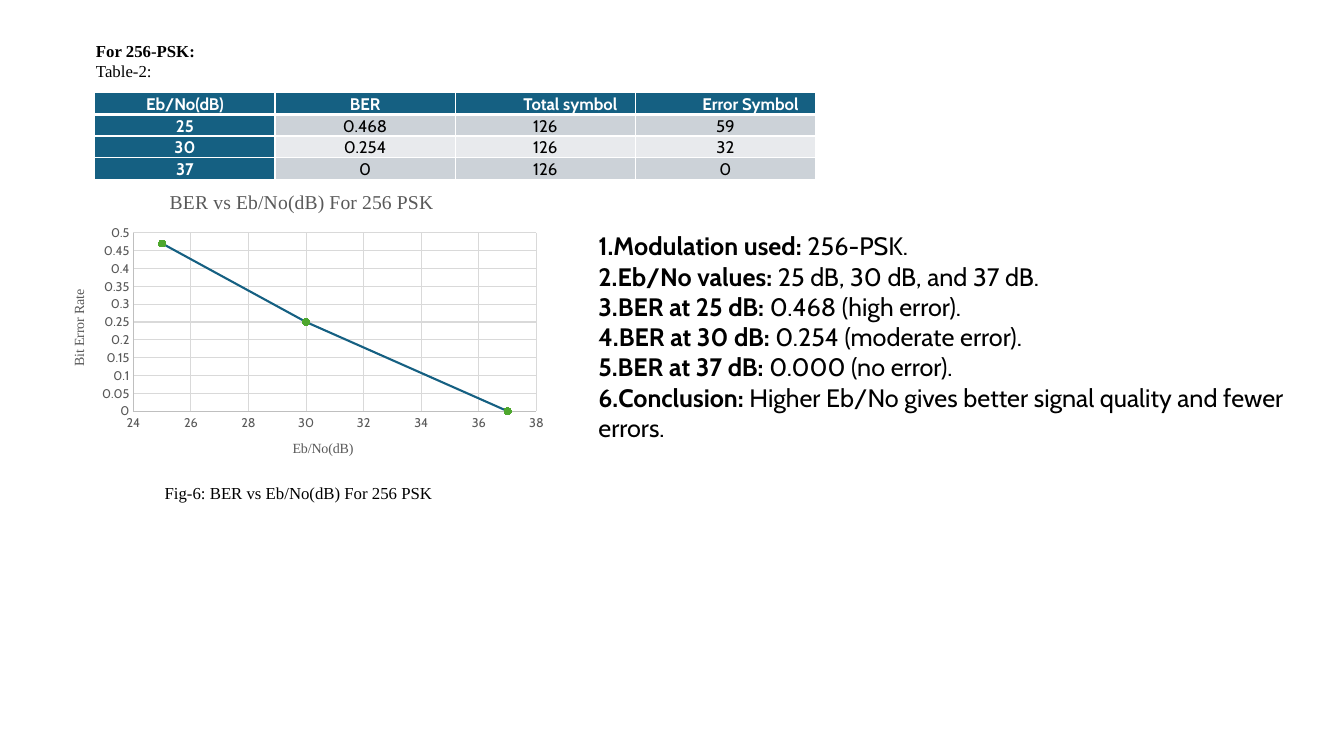
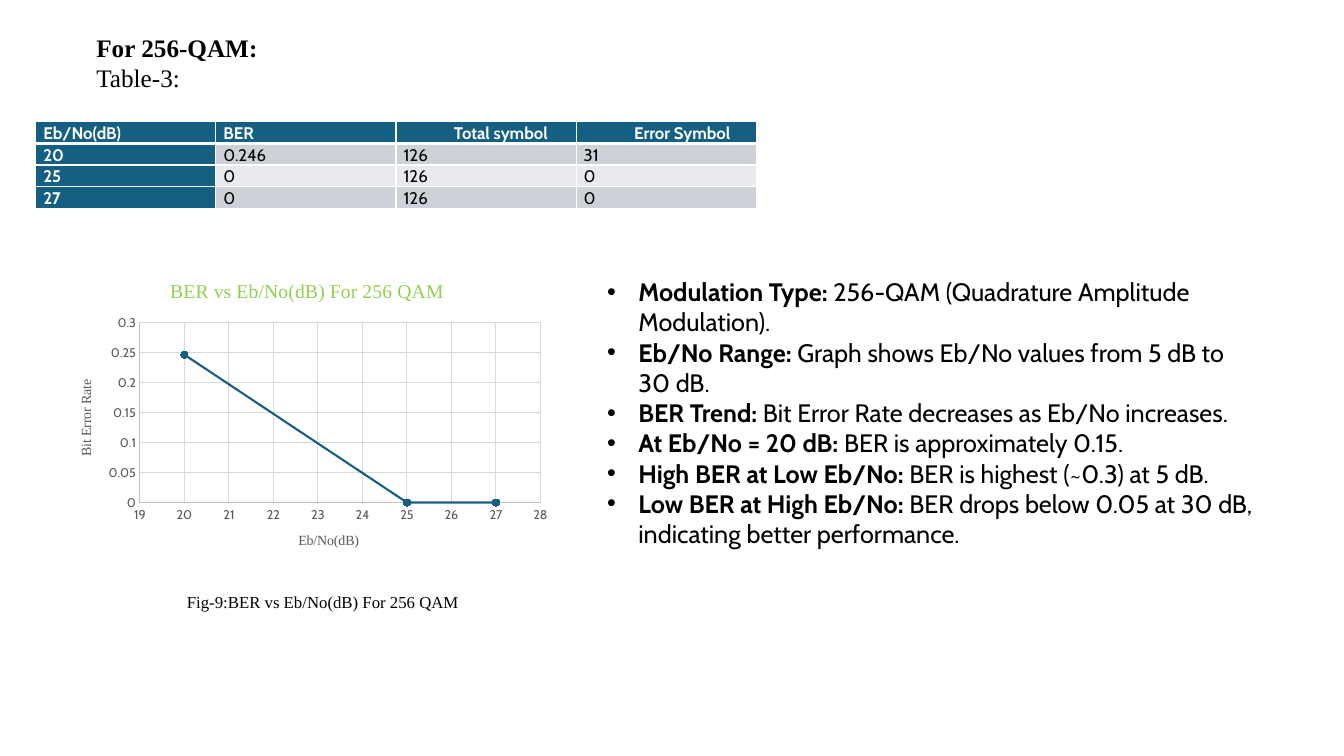
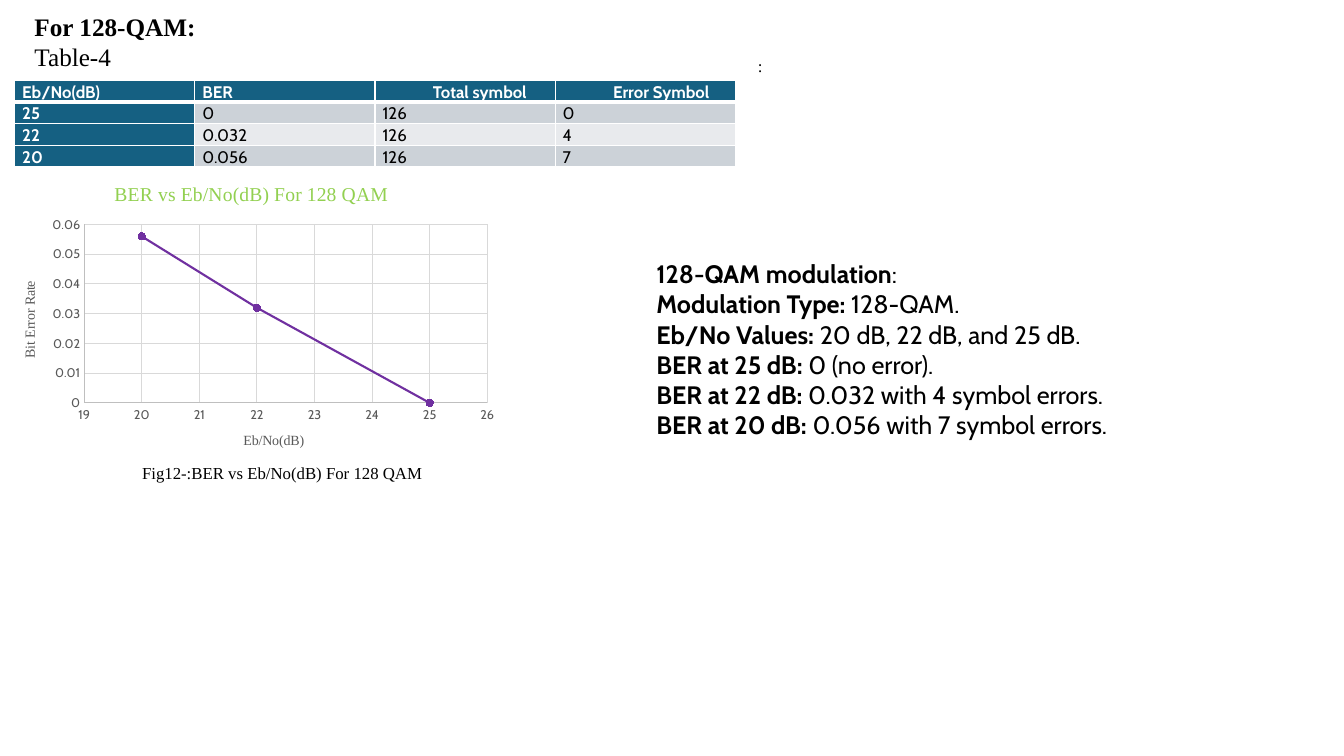
import pptx
import pptx.chart.data
import pptx.dml.color
import pptx.enum.chart
import pptx.enum.text
import pptx.oxml
import pptx.oxml.ns
import pptx.util

Cm, Pt = pptx.util.Cm, pptx.util.Pt
RGB = pptx.dml.color.RGBColor
ALIGN = pptx.enum.text.PP_ALIGN
qn = pptx.oxml.ns.qn
nsdecls = pptx.oxml.ns.nsdecls

BLACK = RGB(0x00, 0x00, 0x00)
WHITE = RGB(0xFF, 0xFF, 0xFF)
BLUE = RGB(0x15, 0x60, 0x82)
BAND_DARK = RGB(0xCC, 0xD2, 0xD8)
BAND_LIGHT = RGB(0xE8, 0xEA, 0xED)
GREEN = RGB(0x4E, 0xA7, 0x2E)
LIME = RGB(0x92, 0xD0, 0x50)
PURPLE = RGB(0x70, 0x30, 0xA0)
GREY = RGB(0x59, 0x59, 0x59)
AXIS = RGB(0xBF, 0xBF, 0xBF)
GRID = RGB(0xD9, 0xD9, 0xD9)
SANS, SERIF = "Cabin", "Times New Roman"
HEADINGS = ("Eb/No(dB)", "BER", "Total symbol", "Error Symbol")


def style(font, name, size, color=BLACK, bold=False):
    font.name, font.size, font.bold = name, Pt(size), bold
    font.color.rgb = color


def add_text(s, box, paragraphs, name, size, bullet=False):
    """Each paragraph is a pair: a bold part and a plain part."""
    tf = s.shapes.add_textbox(*map(Cm, box)).text_frame
    tf.word_wrap = True
    for i, parts in enumerate(paragraphs):
        p = tf.paragraphs[0] if i == 0 else tf.add_paragraph()
        for text, bold in zip(parts, (True, False)):
            if text:
                r = p.add_run()
                r.text = text
                style(r.font, name, size, bold=bold)
        if bullet:
            pPr = p._p.get_or_add_pPr()
            pPr.set("marL", str(Cm(0.79)))
            pPr.set("indent", str(-Cm(0.79)))
            for tag in ('buFont %s typeface="Arial"', 'buChar %s char="•"'):
                pPr.append(pptx.oxml.parse_xml(
                    "<a:%s/>" % (tag % nsdecls("a"))))


def set_borders(cell, bottom):
    """White cell borders; only the bottom width varies."""
    tcPr = cell._tc.get_or_add_tcPr()
    for side, width in zip("LRTB", (1, 1, 1, bottom)):
        tcPr.append(pptx.oxml.parse_xml(
            '<a:ln%s %s w="%d"><a:solidFill><a:srgbClr val="%s"/>'
            "</a:solidFill></a:ln%s>"
            % (side, nsdecls("a"), Pt(width), WHITE, side)))


def add_results(s, left, top, rows, align):
    """Table with a heading row and a heading column."""
    width, height = 4.54, 0.52
    table = s.shapes.add_table(len(rows) + 1, 4, Cm(left), Cm(top),
                               Cm(4 * width), Cm(4 * height)).table
    table.first_col = True
    for column in table.columns:
        column.width = Cm(width)
    for i, values in enumerate([HEADINGS, *rows]):
        table.rows[i].height = Cm(height)
        for j, value in enumerate(values):
            cell = table.cell(i, j)
            cell.margin_top = cell.margin_bottom = 0
            cell.margin_left = cell.margin_right = Cm(0.19)
            heading = i == 0 or j == 0
            set_borders(cell, 3 if i == 0 else 1)
            if i == 1:
                cell._tc.tcPr.find(qn("a:lnT")).set("w", str(Pt(3)))
            cell.fill.solid()
            cell.fill.fore_color.rgb = (
                BLUE if heading else BAND_DARK if i % 2 else BAND_LIGHT)
            p = cell.text_frame.paragraphs[0]
            p.text = str(value)
            p.alignment, p.line_spacing, p.space_after = align, 1.07, Pt(8)
            if i == 0 and j > 1:
                p._p.get_or_add_pPr().set("indent", str(Cm(1.27)))
            style(p.runs[0].font, SANS, 12,
                  WHITE if heading else BLACK, heading)


def set_layout(element, index, inner=False, **percents):
    """Place a chart part by percentages of the chart's size."""
    for old in element.findall(qn("c:layout")):
        element.remove(old)
    target = '<c:layoutTarget val="inner"/>' if inner else ""
    modes = "".join('<c:%sMode val="edge"/>' % k for k in "xy")
    places = "".join('<c:%s val="%.3f"/>' % (k, v / 100)
                     for k, v in percents.items())
    element.insert(index, pptx.oxml.parse_xml(
        "<c:layout %s><c:manualLayout>%s%s%s</c:manualLayout></c:layout>"
        % (nsdecls("c"), target, modes, places)))


def set_title(title, text, size, color, x, y):
    p = title.text_frame.paragraphs[0]
    p.text = text
    style(p.runs[0].font, SERIF, size, color)
    set_layout(title._element, 1, x=x, y=y)


def set_axis(axis, text, low, high, step, x, y):
    axis.minimum_scale, axis.maximum_scale, axis.major_unit = low, high, step
    axis.has_major_gridlines = True
    for line, color in ((axis.format.line, AXIS),
                        (axis.major_gridlines.format.line, GRID)):
        line.color.rgb, line.width = color, Pt(0.75)
    axis.major_tick_mark = pptx.enum.chart.XL_TICK_MARK.NONE
    axis.minor_tick_mark = pptx.enum.chart.XL_TICK_MARK.NONE
    axis.tick_labels.number_format = "General"
    axis.tick_labels.number_format_is_linked = False
    style(axis.tick_labels.font, SANS, 9, GREY)
    set_title(axis.axis_title, text, 10, GREY, x, y)


def set_marker(marker, color):
    marker.style, marker.size = pptx.enum.chart.XL_MARKER_STYLE.CIRCLE, 5
    marker.format.fill.solid()
    marker.format.fill.fore_color.rgb = color
    marker.format.line.color.rgb = color


def add_ber_chart(s, box, title, title_color, title_x, rows, digits,
                  x_scale, y_scale, color, marker_color):
    data = pptx.chart.data.XyChartData()
    points = data.add_series("Series 1")
    for ebno, ber, *_ in rows:
        points.add_data_point(ebno, round(ber, digits))
    chart = s.shapes.add_chart(
        pptx.enum.chart.XL_CHART_TYPE.XY_SCATTER_LINES,
        *map(Cm, box), data).chart
    chart.has_legend = False
    style(chart.font, SANS, 10)
    set_title(chart.chart_title, title, 14, title_color, title_x, 3.4)
    set_axis(chart.category_axis, "Eb/No(dB)", *x_scale, 47.8, 86.4)
    set_axis(chart.value_axis, "Bit Error Rate", *y_scale, 3.6, 36.8)
    set_layout(chart._chartSpace.chart.plotArea, 0, inner=True,
               x=16.7, y=19, w=80, h=59)
    # Line and markers
    plot = chart.plots[0]
    plot.vary_by_categories = False
    series = plot.series[0]
    series.smooth = False
    series.format.line.color.rgb, series.format.line.width = color, Pt(1.5)
    set_marker(series.marker, marker_color)
    if marker_color != color:
        for i in range(len(rows)):
            point = series.points[i]
            set_marker(point.marker, marker_color)
            point.format.line.color.rgb = marker_color
            point.format.line.width = Pt(1.5)


def add_result_slide(prs, name, heading, table, chart, caption, notes):
    s = prs.slides.add_slide(prs.slide_layouts[6])
    left, top, size, label = heading
    add_text(s, (left, top, 10, 1.8), [("For %s:" % name, ""), ("", label)],
             SERIF, size)
    left, top, align, rows = table
    add_results(s, left, top, rows, align)
    box, title_color, title_x, *details = chart
    title = "BER vs Eb/No(dB) For " + name.replace("-", " ")
    add_ber_chart(s, box, title, title_color, title_x, rows, *details)
    left, top, prefix = caption
    add_text(s, (left, top, 9, 0.77), [("", prefix + title)], SERIF, 12)
    box, bullet, lines = notes
    add_text(s, box, lines, SANS, 18, bullet)
    return s


def main():
    prs = pptx.Presentation()
    prs.slide_width, prs.slide_height = Cm(33.87), Cm(19.05)

    # 256-PSK
    add_result_slide(
        prs, "256-PSK", (2.17, 0.91, 12, "Table-2:"),
        (2.39, 2.34, ALIGN.CENTER,
         [(25, 0.468, 126, 59), (30, 0.254, 126, 32), (37, 0, 126, 0)]),
        ((1.24, 4.42, 12.7, 7.62), GREY, 23.2, 2, (24, 38, 2),
         (0, 0.5, 0.05), BLUE, GREEN),
        (3.9, 12.04, "Fig-6: "),
        ((14.83, 5.69, 17.78, 6.4), False, [
            ("1.Modulation used:", " 256-PSK."),
            ("2.Eb/No values:", " 25 dB, 30 dB, and 37 dB."),
            ("3.BER at 25 dB:", " 0.468 (high error)."),
            ("4.BER at 30 dB:", " 0.254 (moderate error)."),
            ("5.BER at 37 dB:", " 0.000 (no error)."),
            ("6.Conclusion:", " Higher Eb/No gives better signal quality"
                              " and fewer errors.")]))

    # 256-QAM
    add_result_slide(
        prs, "256-QAM", (2.18, 0.69, 18, "Table-3:"),
        (0.9, 3.07, ALIGN.JUSTIFY,
         [(20, 0.246, 126, 31), (25, 0, 126, 0), (27, 0, 126, 0)]),
        ((1.42, 6.66, 12.62, 7.7), LIME, 22, 3, (19, 28, 1),
         (0, 0.3, 0.05), BLUE, BLUE),
        (4.46, 14.78, "Fig-9:"),
        ((15.05, 6.84, 16.81, 7.95), True, [
            ("Modulation Type:",
             " 256-QAM (Quadrature Amplitude Modulation)."),
            ("Eb/No Range:", " Graph shows Eb/No values from 5 dB to 30 dB."),
            ("BER Trend:", " Bit Error Rate decreases as Eb/No increases."),
            ("At Eb/No = 20 dB:", " BER is approximately 0.15."),
            ("High BER at Low Eb/No:", " BER is highest (~0.3) at 5 dB."),
            ("Low BER at High Eb/No:", " BER drops below 0.05 at 30 dB,"
                                       " indicating better performance.")]))

    # 128-QAM
    s = add_result_slide(
        prs, "128-QAM", (0.62, 0.15, 18, "Table-4"),
        (0.37, 2.03, ALIGN.JUSTIFY,
         [(25, 0, 126, 0), (22, 0.032, 126, 4), (20, 0.056, 126, 7)]),
        ((0, 4.21, 12.7, 7.62), LIME, 22, 3, (19, 26, 1),
         (0, 0.06, 0.01), PURPLE, PURPLE),
        (3.33, 11.53, "Fig12-:"),
        ((16.29, 6.39, 12.27, 5.64), False, [
            ("128-QAM modulation", ":"),
            ("Modulation Type:", " 128-QAM."),
            ("Eb/No Values:", " 20 dB, 22 dB, and 25 dB."),
            ("BER at 25 dB:", " 0 (no error)."),
            ("BER at 22 dB:", " 0.032 with 4 symbol errors."),
            ("BER at 20 dB:", " 0.056 with 7 symbol errors.")]))
    add_text(s, (18.85, 1.27, 0.8, 0.77), [("", ":")], SERIF, 12)

    prs.save("out.pptx")


if __name__ == "__main__":
    main()
